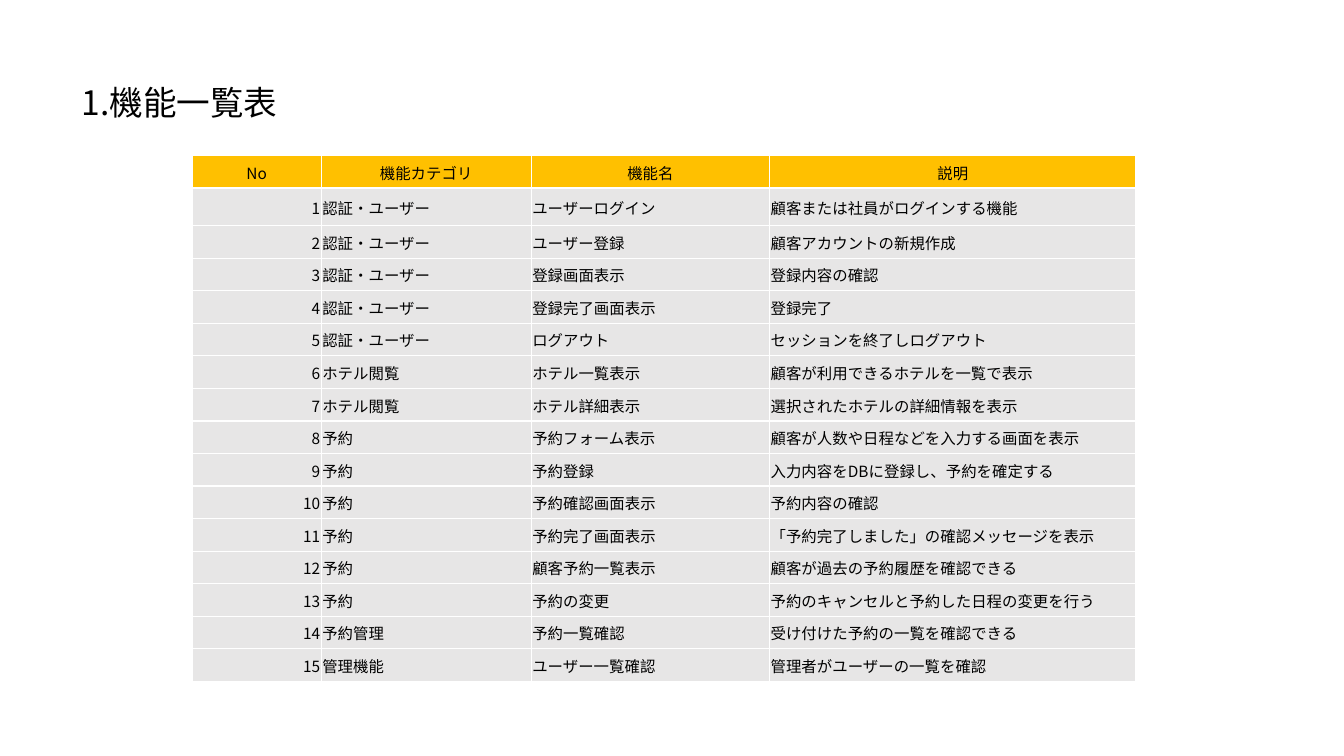
from lxml.etree import SubElement
from pptx import Presentation
from pptx.dml.color import RGBColor
from pptx.enum.text import MSO_ANCHOR, MSO_AUTO_SIZE, PP_ALIGN
from pptx.oxml.ns import qn
from pptx.util import Pt

SCALE = 9525
FONT = "Noto Sans CJK JP"
COLOURS = {"text": "000000", "header": "FFC000", "body": "E7E6E6", "border": "FFFFFF"}
COLUMN_WIDTHS = [123, 200, 227, 349]
HEADER_HEIGHT, FIRST_HEIGHT, ROW_HEIGHT = 31, 36, 31
HEADINGS = ["No", "機能カテゴリ", "機能名", "説明"]
FEATURES = [
    ("認証・ユーザー", "ユーザーログイン", "顧客または社員がログインする機能"),
    ("認証・ユーザー", "ユーザー登録", "顧客アカウントの新規作成"),
    ("認証・ユーザー", "登録画面表示", "登録内容の確認"),
    ("認証・ユーザー", "登録完了画面表示", "登録完了"),
    ("認証・ユーザー", "ログアウト", "セッションを終了しログアウト"),
    ("ホテル閲覧", "ホテル一覧表示", "顧客が利用できるホテルを一覧で表示"),
    ("ホテル閲覧", "ホテル詳細表示", "選択されたホテルの詳細情報を表示"),
    ("予約", "予約フォーム表示", "顧客が人数や日程などを入力する画面を表示"),
    ("予約", "予約登録", "入力内容をDBに登録し、予約を確定する"),
    ("予約", "予約確認画面表示", "予約内容の確認"),
    ("予約", "予約完了画面表示", "「予約完了しました」の確認メッセージを表示"),
    ("予約", "顧客予約一覧表示", "顧客が過去の予約履歴を確認できる"),
    ("予約", "予約の変更", "予約のキャンセルと予約した日程の変更を行う"),
    ("予約管理", "予約一覧確認", "受け付けた予約の一覧を確認できる"),
    ("管理機能", "ユーザー一覧確認", "管理者がユーザーの一覧を確認"),
]


def px(length):
    return length * SCALE


def colour(name):
    return RGBColor.from_string(COLOURS[name])


def write_text(frame, text, size=11, align=PP_ALIGN.LEFT, fill="text"):
    para = frame.paragraphs[0]
    para.alignment = align
    para.line_spacing = 1.0
    span = para.add_run()
    span.text = text
    span.font.size = Pt(size)
    span.font.bold = False
    span.font.name = FONT
    span.font.color.rgb = colour(fill)
    SubElement(span.font._element, qn("a:ea"), typeface=FONT)


def add_title(page, text):
    box = page.shapes.title
    box.left, box.top, box.width, box.height = map(px, (68, 73, 228, 48))
    frame = box.text_frame
    frame.word_wrap = True
    frame.auto_size = MSO_AUTO_SIZE.NONE
    frame.vertical_anchor = MSO_ANCHOR.MIDDLE
    write_text(frame, text, size=24)


def set_borders(cell):
    properties = cell._tc.get_or_add_tcPr()
    for position, side in enumerate(("lnL", "lnR", "lnT", "lnB")):
        line = SubElement(properties, qn(f"a:{side}"), w=str(Pt(1)))
        solid = SubElement(line, qn("a:solidFill"))
        SubElement(solid, qn("a:srgbClr"), val=COLOURS["border"])
        properties.insert(position, line)


def fill_cell(cell, text, fill, align):
    cell.margin_left = cell.margin_top = cell.margin_right = px(1)
    cell.margin_bottom = 0
    cell.vertical_anchor = MSO_ANCHOR.MIDDLE
    cell.fill.solid()
    cell.fill.fore_color.rgb = colour(fill)
    set_borders(cell)
    write_text(cell.text_frame, text, align=align)


def add_feature_table(page):
    rows = [HEADINGS] + [(str(number), *feature) for number, feature in enumerate(FEATURES, 1)]
    heights = [HEADER_HEIGHT, FIRST_HEIGHT] + [ROW_HEIGHT] * (len(rows) - 2)
    table = page.shapes.add_table(
        len(rows), len(HEADINGS), px(183), px(148), px(sum(COLUMN_WIDTHS)), px(sum(heights))
    ).table
    for column, width in zip(table.columns, COLUMN_WIDTHS):
        column.width = px(width)
    for row_index, (values, height) in enumerate(zip(rows, heights)):
        table.rows[row_index].height = px(height)
        for column_index, text in enumerate(values):
            if row_index == 0:
                fill, align = "header", PP_ALIGN.CENTER
            else:
                fill = "body"
                align = PP_ALIGN.RIGHT if column_index == 0 else PP_ALIGN.LEFT
            fill_cell(table.cell(row_index, column_index), text, fill, align)


def main():
    deck = Presentation()
    deck.slide_width, deck.slide_height = px(1280), px(720)
    page = deck.slides.add_slide(deck.slide_layouts[5])
    add_feature_table(page)
    add_title(page, "1.機能一覧表")
    deck.save("out.pptx")


if __name__ == "__main__":
    main()
